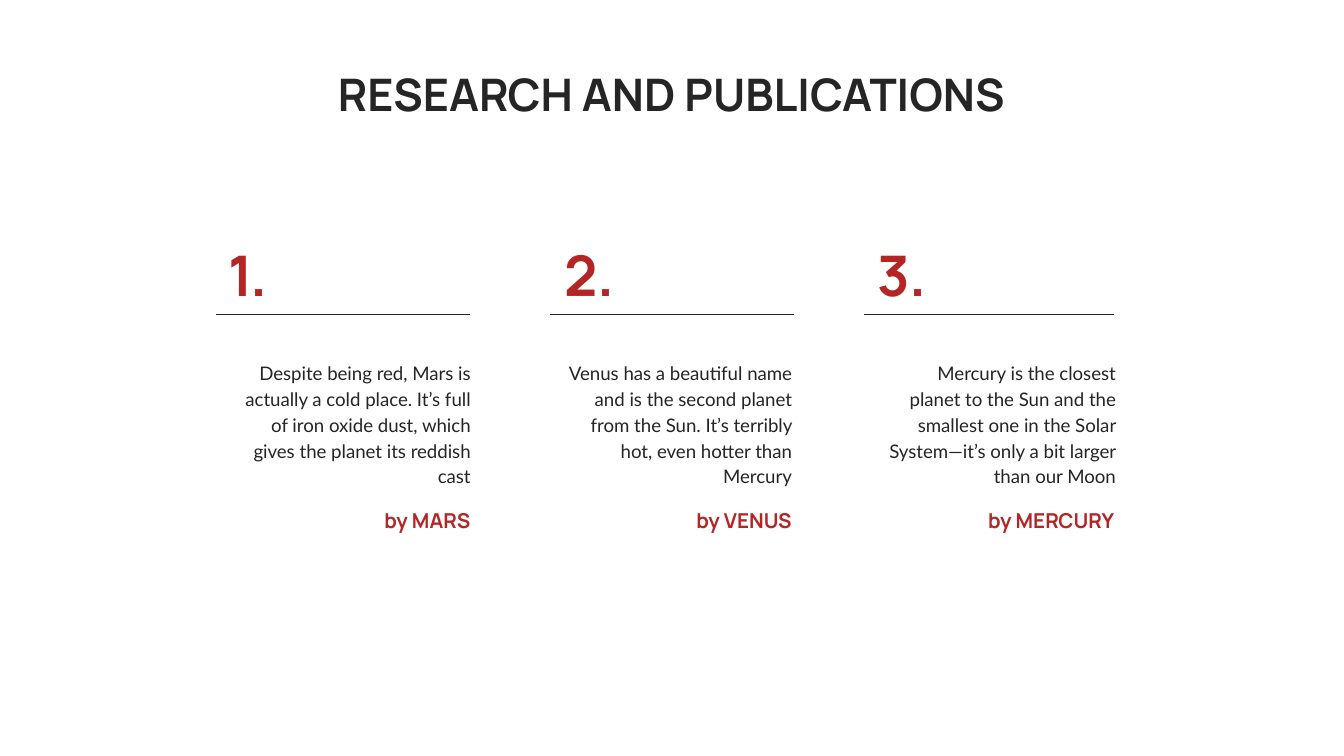
from lxml import etree
from pptx import Presentation
from pptx.dml.color import RGBColor
from pptx.enum.shapes import MSO_CONNECTOR
from pptx.enum.text import MSO_ANCHOR, PP_ALIGN
from pptx.oxml.ns import qn
from pptx.util import Inches, Pt

DARK, RED = "252525", "B42526"
INSET = 0.1

TITLE = dict(name="Manrope", size=Pt(24), bold=True)
NUMBER = dict(name="Manrope", size=Pt(30), bold=True)
BODY = dict(name="Lato", size=Pt(10), bold=False)
AUTHOR = dict(name="Manrope", size=Pt(11), bold=True)

# number (left, width), rule (from, to), body (left, width), author left, texts
COLUMNS = [
    ((1.6, 0.52), (1.61, 3.5), (1.6, 2.0), 2.1,
     "Despite being red, Mars is actually a cold place. It’s full of iron "
     "oxide dust, which gives the planet its reddish cast", "by MARS"),
    ((4.1, 0.71), (4.09, 5.91), (4.1, 1.89), 4.49,
     "Venus has a beautiful name and is the second planet from the Sun. "
     "It’s terribly hot, even hotter than Mercury", "by VENUS"),
    ((6.43, 0.78), (6.43, 8.29), (6.51, 1.89), 6.89,
     "Mercury is the closest planet to the Sun and the smallest one in the "
     "Solar System—it’s only a bit larger than our Moon", "by MERCURY"),
]


def paint(color, value):
    color.rgb = RGBColor.from_string(value)


def add_text(slide, box, text, style, color, align, anchor, spacing=1.0):
    shape = slide.shapes.add_textbox(*map(Inches, box))
    frame = shape.text_frame
    frame.word_wrap = True
    frame.vertical_anchor = anchor
    for side in ("left", "top", "right", "bottom"):
        setattr(frame, f"margin_{side}", Inches(INSET))
    para = frame.paragraphs[0]
    para.alignment = align
    para.line_spacing = spacing
    run = para.add_run()
    run.text = text
    for key, value in style.items():
        setattr(run.font, key, value)
    paint(run.font.color, color)


def add_rule(slide, left, right, top):
    rule = slide.shapes.add_connector(
        MSO_CONNECTOR.STRAIGHT, *map(Inches, (left, top, right, top)))
    rule.line.width = Pt(0.75)
    paint(rule.line.color, DARK)
    etree.SubElement(rule._element.spPr, qn("a:effectLst"))


def add_column(slide, top, index, column):
    """Place a number above a rule, then a text and its author set flush right."""
    (left, width), ends, (body_left, body_width), author_left, body, author = column
    add_text(slide, (left, top, width, 0.42), f"{index}.", NUMBER, RED,
             PP_ALIGN.LEFT, MSO_ANCHOR.BOTTOM)
    add_rule(slide, *ends, top + 0.37)
    add_text(slide, (body_left, top + 0.6, body_width, 1.05), body,
             BODY, DARK, PP_ALIGN.RIGHT, MSO_ANCHOR.TOP, 1.15)
    add_text(slide, (author_left, top + 1.69, 1.5, 0.42), author, AUTHOR, RED,
             PP_ALIGN.RIGHT, MSO_ANCHOR.MIDDLE)


def main():
    deck = Presentation()
    deck.slide_width = Inches(10)
    deck.slide_height = deck.slide_width * 9 // 16
    slide = deck.slides.add_slide(deck.slide_layouts[6])
    add_text(slide, (1.33, 0.3, 7.33, 0.7), "RESEARCH AND PUBLICATIONS",
             TITLE, DARK, PP_ALIGN.CENTER, MSO_ANCHOR.BOTTOM)
    for index, column in enumerate(COLUMNS, 1):
        add_column(slide, 1.97, index, column)
    deck.save("out.pptx")


if __name__ == "__main__":
    main()
